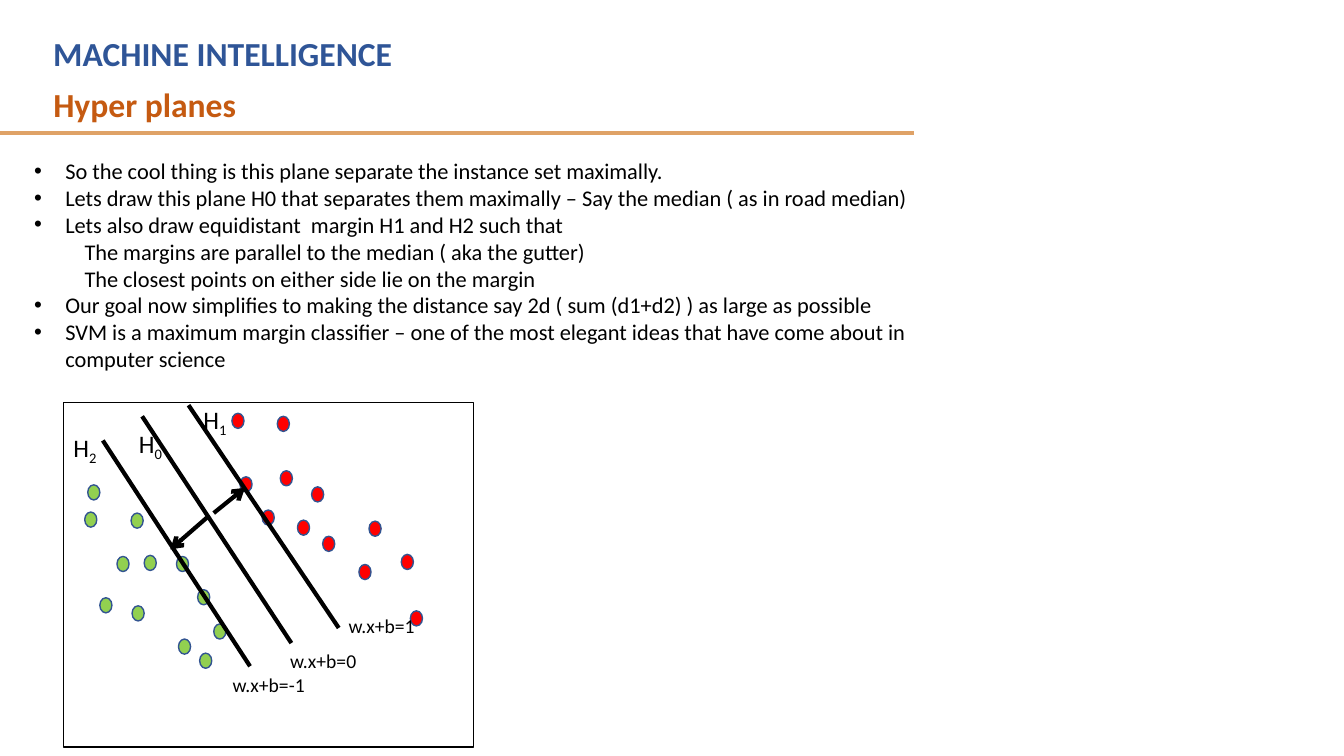
from lxml.etree import SubElement
from pptx import Presentation
from pptx.dml.color import RGBColor
from pptx.enum.shapes import MSO_CONNECTOR as CONN, MSO_SHAPE as SHAPE
from pptx.enum.text import MSO_AUTO_SIZE as AUTO
from pptx.oxml.ns import qn
from pptx.util import Pt

PX = 9144  # EMU per px, 100 px to the inch
COLORS = {
    "title": "2F5597", "subtitle": "C55A11", "rule": "DFA267", "ink": "000000",
    "green": "92D050", "red": "FF0000", "outline": "325491",
}


def rgb(name):
    return RGBColor.from_string(COLORS[name])


class SlideBuilder:
    font = "Calibri"

    def __init__(self, prs):
        self.s = prs.slides.add_slide(prs.slide_layouts[6])

    def shape(self, kind, x, y, w, h, line, fill=None):
        sp = self.s.shapes.add_shape(kind, x * PX, y * PX, w * PX, h * PX)
        sp.shadow.inherit = False
        if fill:
            sp.fill.solid()
            sp.fill.fore_color.rgb = rgb(fill)
        else:
            sp.fill.background()
        sp.line.color.rgb = rgb(line)
        sp.line.width = Pt(1)

    def line(self, x1, y1, x2, y2, color="ink", arrow=False):
        ln = self.s.shapes.add_connector(CONN.STRAIGHT, x1 * PX, y1 * PX, x2 * PX, y2 * PX)
        ln.line.color.rgb = rgb(color)
        ln.line.width = Pt(3)
        if arrow:
            SubElement(ln.line._get_or_add_ln(), qn("a:tailEnd"), type="arrow")
        SubElement(ln._element.spPr, qn("a:effectLst"))

    def run(self, p, text, size, color="ink", bold=False, sub=False):
        r = p.add_run()
        r.text = text
        r.font.name = self.font
        r.font.size = Pt(size)
        r.font.bold = bold
        r.font.color.rgb = rgb(color)
        if sub:
            r._r.get_or_add_rPr().set("baseline", "-25000")

    def box(self, x, y, w, h, wrap=True):
        tf = self.s.shapes.add_textbox(x * PX, y * PX, w * PX, h * PX).text_frame
        tf.word_wrap = wrap
        tf.auto_size = AUTO.SHAPE_TO_FIT_TEXT
        return tf

    def text(self, x, y, w, h, text, size, color="ink", bold=False, sub="", wrap=True):
        p = self.box(x, y, w, h, wrap).paragraphs[0]
        self.run(p, text, size, color, bold)
        if sub:
            self.run(p, sub, size, color, bold, sub=True)

    def bullets(self, x, y, w, h, items, size):
        tf = self.box(x, y, w, h)
        for i, (level, text) in enumerate(items):
            p = tf.add_paragraph() if i else tf.paragraphs[0]
            p.level = level
            pPr = p._p.get_or_add_pPr()
            margin, indent = (50, 0) if level else (31, -31)
            pPr.set("marL", str(margin * PX))
            pPr.set("indent", str(indent * PX))
            if level == 0:
                SubElement(pPr, qn("a:buFont"), typeface="Arial")
                SubElement(pPr, qn("a:buChar"), char="•")
            self.run(p, text, size)


POINTS = [
    (0, "So the cool thing is this plane separate the instance set maximally."),
    (0, "Lets draw this plane H0 that separates them maximally – Say the median ( as in road median)"),
    (0, "Lets also draw equidistant  margin H1 and H2 such that"),
    (1, "The margins are parallel to the median ( aka the gutter)"),
    (1, "The closest points on either side lie on the margin"),
    (0, "Our goal now simplifies to making the distance say 2d ( sum (d1+d2) ) as large as possible"),
    (0, "SVM is a maximum margin classifier – one of the most elegant ideas that have come about in "
        "computer science"),
]
# Top left corner of each instance, by class
INSTANCES = {
    "green": [(87, 481), (84, 508), (130, 509), (143, 551), (116, 552), (131, 601),
              (99, 593), (177, 634), (198, 648), (212, 619), (196, 585), (175, 552)],
    "red": [(238, 473), (260, 506), (295, 516), (320, 532), (356, 560), (407, 606),
            (398, 550), (366, 517), (309, 483), (278, 467), (275, 413), (230, 410)],
}
PLANES = [(187, 402, 336, 623), (102, 437, 248, 661), (141, 413, 289, 638)]
DISTANCES = [(212, 509, 243, 484), (207, 512, 169, 545)]
PLANE_NAMES = [("0", 128, 420, 44, False), ("2", 63, 424, 44, False), ("1", 192, 396, 46, True)]
# Widths leave a little room so that each equation stays on one line
EQUATIONS = [("w.x+b=0", 278, 639, 90), ("w.x+b=1", 336, 604, 90), ("w.x+b=-1", 221, 663, 97)]


def main():
    prs = Presentation()
    prs.slide_width, prs.slide_height = 1333 * PX, 750 * PX
    b = SlideBuilder(prs)

    # Header
    b.line(-1, 132, 907, 132, "rule")
    b.text(43, 28, 820, 50, "MACHINE INTELLIGENCE", 24, "title", bold=True)
    b.text(43, 78, 875, 50, "Hyper planes", 24, "subtitle", bold=True)

    # Explanation
    b.bullets(24, 151, 894, 225, POINTS, 16)

    # Scatter of the two classes
    b.shape(SHAPE.RECTANGLE, 63, 399, 407, 342, "ink")
    for color, spots in INSTANCES.items():
        for x, y in spots:
            b.shape(SHAPE.OVAL, x, y, 12, 15, "outline", color)

    # Planes and the distances between them
    for ends in PLANES:
        b.line(*ends)
    for ends in DISTANCES:
        b.line(*ends, arrow=True)

    # Plane labels
    for index, x, y, w, wrap in PLANE_NAMES:
        b.text(x, y, w, 40, "H", 18, sub=index, wrap=wrap)
    for equation, x, y, w in EQUATIONS:
        b.text(x, y, w, 34, equation, 14, wrap=False)

    prs.save("out.pptx")


if __name__ == "__main__":
    main()
